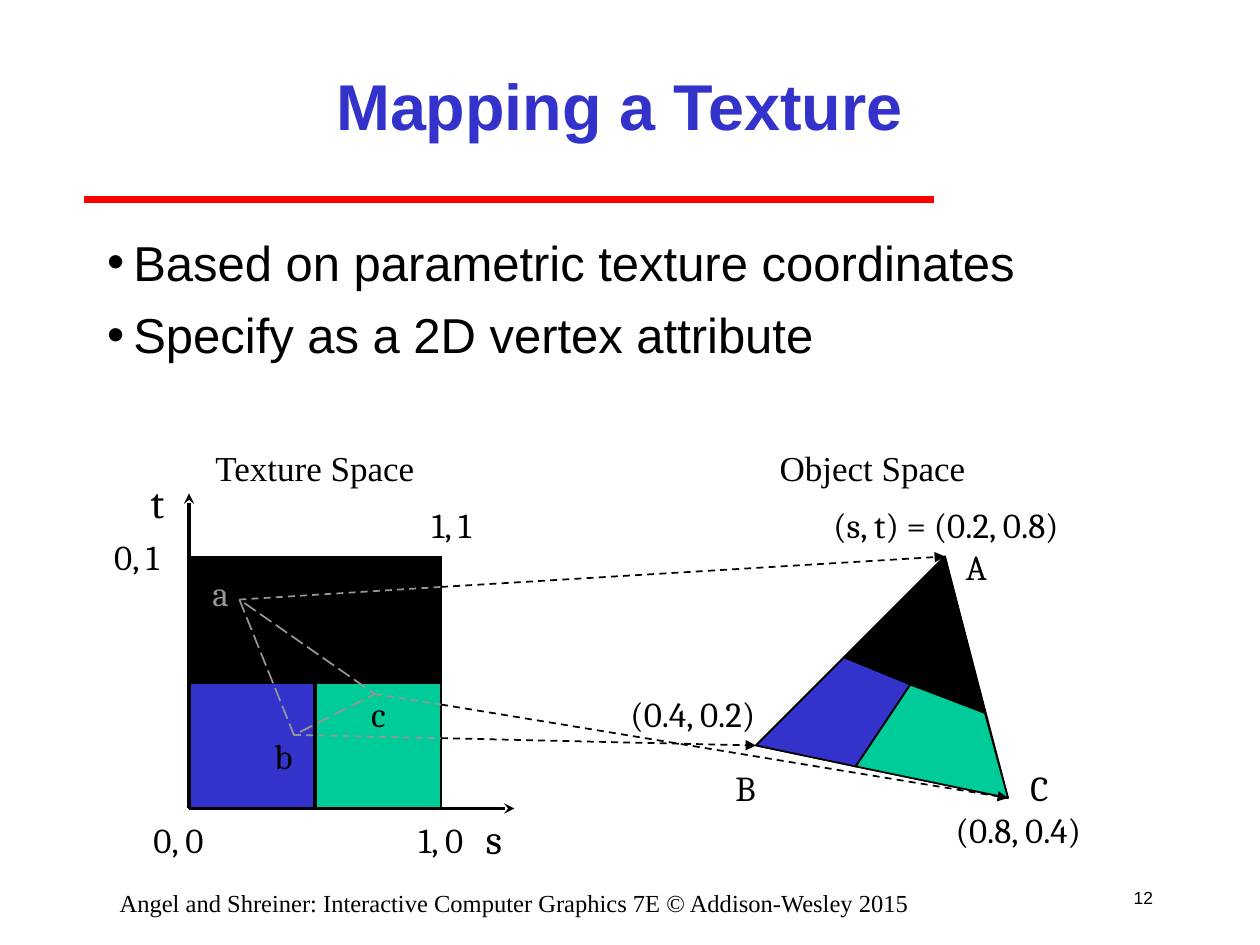
from dataclasses import dataclass
from typing import NamedTuple

from lxml import etree
from pptx import Presentation
from pptx.dml.color import RGBColor
from pptx.enum.dml import MSO_LINE
from pptx.enum.shapes import MSO_CONNECTOR, MSO_SHAPE
from pptx.enum.text import MSO_ANCHOR, MSO_AUTO_SIZE, PP_ALIGN
from pptx.oxml.ns import qn
from pptx.util import Inches, Pt

STRAIGHT, RECTANGLE = MSO_CONNECTOR.STRAIGHT, MSO_SHAPE.RECTANGLE
DASH, LONG_DASH = MSO_LINE.DASH, MSO_LINE.LONG_DASH
CENTER, RIGHT = PP_ALIGN.CENTER, PP_ALIGN.RIGHT
TOP, MIDDLE = MSO_ANCHOR.TOP, MSO_ANCHOR.MIDDLE


@dataclass(frozen=True)
class Theme:
    black: str = "000000"
    blue: str = "3333CC"
    green: str = "00CC99"
    gray: str = "969696"
    red: str = "FF0000"
    sans: str = "Arial"
    serif: str = "Times New Roman"
    math: str = "Cambria"
    title: int = 37
    body: int = 28
    axis: int = 24
    label: int = 20
    footer: int = 14
    number: int = 10


class Point(NamedTuple):
    col: float
    row: float


class Label(NamedTuple):
    text: str
    left: float
    top: float
    width: float
    height: float = 5.2
    size: int = Theme.label
    font: str = Theme.math
    color: str = Theme.black
    align: PP_ALIGN = CENTER
    anchor: MSO_ANCHOR = TOP
    wrap: bool = False


class Region(NamedTuple):
    color: str
    corners: tuple[Point, ...]


class Segment(NamedTuple):
    start: Point
    end: Point
    color: str = Theme.black
    width: float = 1
    dash: MSO_LINE | None = None
    arrow: str | None = None


THEME = Theme()

# The slide is a grid of 120 columns by 90 rows, twelve to the inch
COLUMNS, ROWS = 120, 90


def cells(count: float) -> int:
    return Inches(count / 12)


def rgb(color: str) -> RGBColor:
    return RGBColor.from_string(color)


def style_font(font, name: str, size: int, color: str, bold: bool = False) -> None:
    font.name, font.size, font.bold = name, Pt(size), bold
    font.color.rgb = rgb(color)


def paint(shape, fill: str | None, line: str, dash: MSO_LINE | None = None) -> None:
    shape.shadow.inherit = False
    if fill:
        shape.fill.solid()
        shape.fill.fore_color.rgb = rgb(fill)
    else:
        shape.fill.background()
    shape.line.color.rgb = rgb(line)
    shape.line.width = Pt(1)
    if dash:
        shape.line.dash_style = dash


def draw_square(slide, corner: Point, width: float, height: float, fill: str | None) -> None:
    square = slide.shapes.add_shape(
        RECTANGLE, cells(corner.col), cells(corner.row), cells(width), cells(height))
    paint(square, fill, THEME.black)


def draw_polygon(slide, corners: tuple[Point, ...], fill: str | None = None,
                 line: str = THEME.black, dash: MSO_LINE | None = None) -> None:
    first, *rest = [(cells(p.col), cells(p.row)) for p in corners]
    builder = slide.shapes.build_freeform(*first, scale=1.0)
    builder.add_line_segments(rest, close=True)
    paint(builder.convert_to_shape(), fill, line, dash)


def draw_segment(slide, segment: Segment) -> None:
    connector = slide.shapes.add_connector(
        STRAIGHT, *(cells(value) for value in (*segment.start, *segment.end)))
    connector.line.color.rgb = rgb(segment.color)
    connector.line.width = Pt(segment.width)
    if segment.dash:
        connector.line.dash_style = segment.dash
    if segment.arrow:
        etree.SubElement(connector.line._get_or_add_ln(), qn("a:tailEnd"), type=segment.arrow)
    etree.SubElement(connector._element.spPr, qn("a:effectLst"))


def write_label(slide, label: Label) -> None:
    box = slide.shapes.add_textbox(
        *(cells(v) for v in (label.left, label.top, label.width, label.height)))
    frame = box.text_frame
    frame.word_wrap = label.wrap
    frame.vertical_anchor = label.anchor
    paragraph = frame.paragraphs[0]
    paragraph.text = label.text
    paragraph.alignment = label.align
    style_font(paragraph.font, label.font, label.size, label.color)


def place(holder, left: float, top: float, width: float, height: float) -> None:
    holder.left, holder.top = cells(left), cells(top)
    holder.width, holder.height = cells(width), cells(height)
    holder.text_frame.auto_size = MSO_AUTO_SIZE.NONE


def write_title(slide, text: str) -> None:
    title = slide.shapes.title
    place(title, 18, 3, 82, 14)
    title.text_frame.vertical_anchor = MIDDLE
    paragraph = title.text_frame.paragraphs[0]
    paragraph.text = text
    paragraph.alignment = CENTER
    style_font(paragraph.font, THEME.sans, THEME.title, THEME.blue, bold=True)


def write_bullets(slide, items: list[str]) -> None:
    body = slide.placeholders[1]
    place(body, 9, 21.5, 102, 61.5)
    frame = body.text_frame
    frame.text = "\n".join(items)
    for index, paragraph in enumerate(frame.paragraphs):
        properties = paragraph._p.get_or_add_pPr()
        properties.set("marL", str(cells(2.5)))
        properties.set("indent", str(-cells(2.5)))
        etree.SubElement(properties, qn("a:buChar"), char="•")
        paragraph.space_before = Pt(8 if index else 0)
        style_font(paragraph.font, THEME.sans, THEME.body, THEME.black)


# Texture square: s runs right and t runs up from the origin
SIDE, HALF = 24, 12
ORIGIN = Point(18, 77)
EDGE = ORIGIN.col + SIDE
UPPER, MIDLINE = ORIGIN.row - SIDE, ORIGIN.row - HALF
MIDDLE_COL = ORIGIN.col + HALF
TEXTURE_A, TEXTURE_B, TEXTURE_C = Point(22.8, 57.1), Point(28, 70), Point(35.7, 66.1)

# Object triangle and the seams between its coloured regions
OBJECT_A, OBJECT_B, OBJECT_C = Point(90, 53), Point(72, 71), Point(96, 76)
SEAM_LEFT, SEAM_MIDDLE = Point(80.4, 62.6), Point(86.7, 65.2)
SEAM_RIGHT, SEAM_BOTTOM = Point(93.8, 67.9), Point(81.5, 73)
REGIONS = [
    Region(THEME.blue, (SEAM_LEFT, SEAM_MIDDLE, SEAM_BOTTOM, OBJECT_B)),
    Region(THEME.green, (SEAM_MIDDLE, SEAM_RIGHT, OBJECT_C, SEAM_BOTTOM)),
    Region(THEME.black, (SEAM_LEFT, OBJECT_A, SEAM_RIGHT)),
]

AXES_AND_DIVIDERS = [
    Segment(ORIGIN, Point(18, 47), width=2, arrow="stealth"),
    Segment(ORIGIN, Point(49, 77), width=2, arrow="stealth"),
    Segment(Point(ORIGIN.col, MIDLINE), Point(EDGE, MIDLINE), width=2),
    Segment(Point(MIDDLE_COL, MIDLINE), Point(MIDDLE_COL, ORIGIN.row), width=2),
]
SEAMS = [Segment(SEAM_LEFT, SEAM_RIGHT, width=2), Segment(SEAM_MIDDLE, SEAM_BOTTOM, width=2)]

# Each mapping line: texture point, row where it leaves the square, object vertex
MAPPINGS = [
    (TEXTURE_A, 55.9, OBJECT_A),
    (TEXTURE_B, 70.3, OBJECT_B),
    (TEXTURE_C, 67.1, OBJECT_C),
]

LABELS = [
    Label("s", 44.9, 76.8, 4.3, 6, THEME.axis),
    Label("t", 13.1, 44.8, 3.8, 6, THEME.axis),
    Label("1, 1", 39, 47.4, 8),
    Label("0, 1", 9, 50.4, 8),
    Label("0, 0", 13, 77.4, 8),
    Label("1, 0", 38, 77.4, 8),
    Label("(s, t) = (0.2, 0.8)", 77.2, 47.4, 25.8),
    Label("(0.4, 0.2)", 58.2, 65.4, 15.6),
    Label("(0.8, 0.4)", 89.2, 76.4, 15.6),
    Label("A", 90.7, 51.4, 4.6),
    Label("B", 68.7, 72.4, 4.6),
    Label("C", 96.7, 72.4, 4.6),
    Label("a", 18.8, 53.8, 4.4, color=THEME.gray),
    Label("b", 24.8, 69.4, 4.4),
    Label("c", 34, 65.4, 4.1),
    Label("Texture Space", 19.2, 41.9, 21.6, font=THEME.serif),
    Label("Object Space", 73, 41.9, 20.2, font=THEME.serif),
    Label("Angel and Shreiner: Interactive Computer Graphics 7E © Addison-Wesley 2015",
          6, 84, 86, 3, THEME.footer, THEME.serif, wrap=True),
    Label("12", 106, 83, 5, 5, THEME.number, THEME.sans, align=RIGHT, anchor=MIDDLE),
]


def main() -> None:
    deck = Presentation()
    deck.slide_width, deck.slide_height = cells(COLUMNS), cells(ROWS)
    slide = deck.slides.add_slide(deck.slide_layouts[1])

    # Heading and list
    draw_segment(slide, Segment(Point(8, 19), Point(89, 19), THEME.red, 4))
    write_title(slide, "Mapping a Texture")
    write_bullets(slide, ["Based on parametric texture coordinates",
                          "Specify as a 2D vertex attribute"])

    # Texture space
    draw_square(slide, Point(ORIGIN.col, MIDLINE), HALF, HALF, THEME.blue)
    draw_square(slide, Point(MIDDLE_COL, MIDLINE), HALF, HALF, THEME.green)
    draw_square(slide, Point(ORIGIN.col, UPPER), SIDE, HALF, THEME.black)
    draw_square(slide, Point(ORIGIN.col, UPPER), SIDE, SIDE, None)
    for segment in AXES_AND_DIVIDERS:
        draw_segment(slide, segment)
    draw_polygon(slide, (TEXTURE_A, TEXTURE_B, TEXTURE_C), line=THEME.gray, dash=LONG_DASH)

    # Object space
    draw_polygon(slide, (OBJECT_A, OBJECT_B, OBJECT_C))
    for segment in SEAMS:
        draw_segment(slide, segment)
    for region in REGIONS:
        draw_polygon(slide, region.corners, region.color)

    # Mapping lines, gray inside the square and black beyond it
    for texture_point, exit_row, vertex in MAPPINGS:
        crossing = Point(EDGE, exit_row)
        draw_segment(slide, Segment(texture_point, crossing, THEME.gray, dash=DASH))
        draw_segment(slide, Segment(crossing, vertex, dash=DASH, arrow="triangle"))

    # Labels, footer and slide number
    for label in LABELS:
        write_label(slide, label)

    deck.save("out.pptx")


if __name__ == "__main__":
    main()
